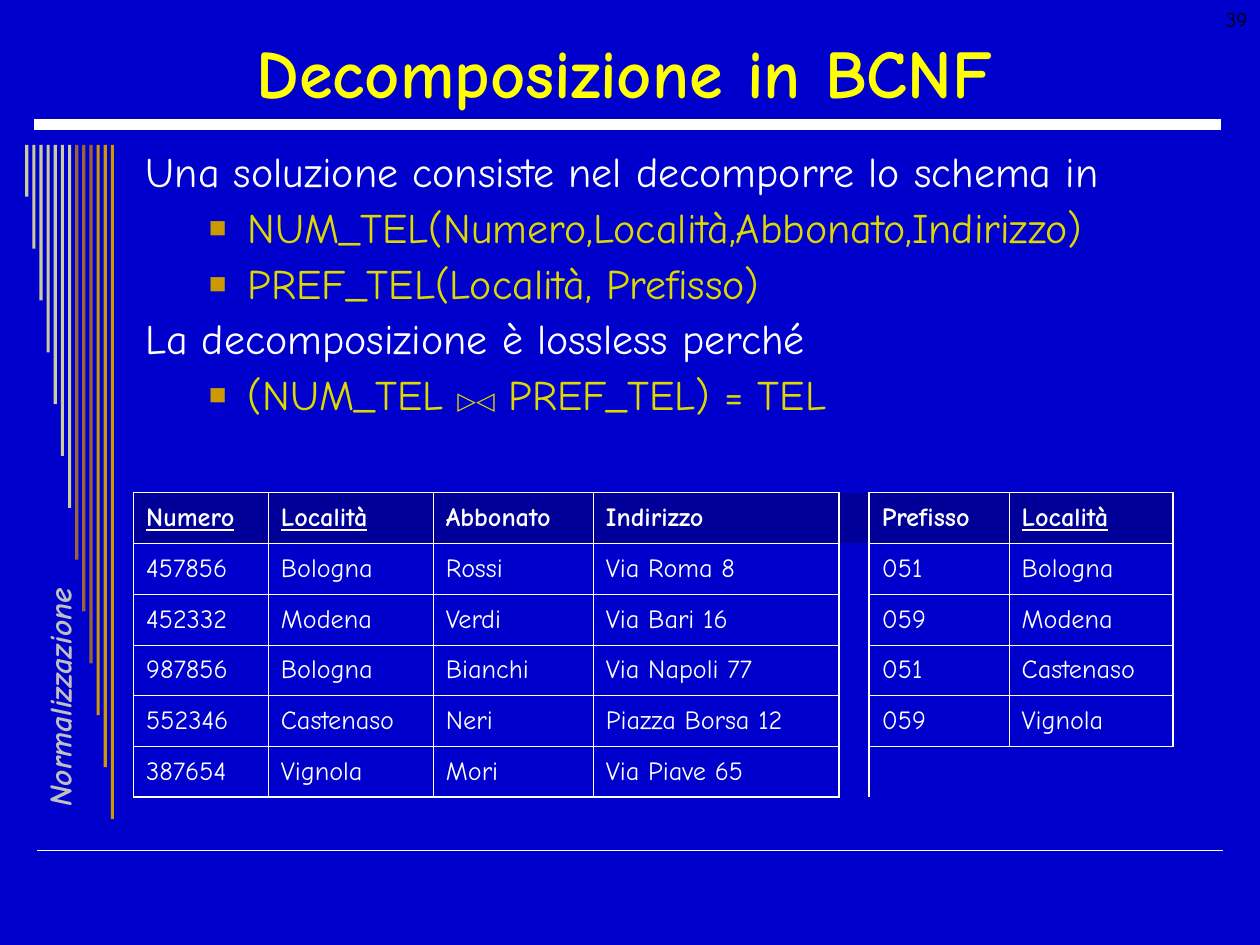
from lxml.etree import SubElement
from pptx import Presentation
from pptx.dml.color import RGBColor
from pptx.enum.shapes import MSO_CONNECTOR, MSO_SHAPE
from pptx.enum.text import MSO_ANCHOR, PP_ALIGN
from pptx.oxml.ns import qn
from pptx.util import Inches, Pt

COLORS = {
    "background": "0000CC", "header": "000099", "white": "FFFFFF",
    "title": "FFFF00", "detail": "DDD800", "bullet": "CC9900",
    "sand": "CCCC99", "brown": "996633", "gold": "CC9900",
    "silver": "C0C0C0", "black": "000000",
}
NO_TABLE_STYLE = "{2D5ABB26-0587-4C30-8999-92F81FD0307C}"
THIN, THICK = 0.45, 1.08

# Two relations side by side, with an empty column between them
PHONES = [
    ["Numero", "Località", "Abbonato", "Indirizzo"],
    ["457856", "Bologna", "Rossi", "Via Roma 8"],
    ["452332", "Modena", "Verdi", "Via Bari 16"],
    ["987856", "Bologna", "Bianchi", "Via Napoli 77"],
    ["552346", "Castenaso", "Neri", "Piazza Borsa 12"],
    ["387654", "Vignola", "Mori", "Via Piave 65"],
]
PREFIXES = [
    ["Prefisso", "Località"],
    ["051", "Bologna"],
    ["059", "Modena"],
    ["051", "Castenaso"],
    ["059", "Vignola"],
]
RELATIONS = [(0, PHONES), (5, PREFIXES)]
KEYS = ("Numero", "Località")


def unit(count):
    """Length of grid units: the slide is 100 columns by 75 rows."""
    return Inches(count / 10)


def relation_at(row, column):
    """First column and rows of the relation that covers a cell, if any."""
    for first, rows in RELATIONS:
        if 0 <= row < len(rows) and first <= column < first + len(rows[0]):
            return first, rows
    return None


def border_width(cell, neighbour):
    inside, outside = relation_at(*cell), relation_at(*neighbour)
    if inside is None and outside is None:
        return None
    below_header = {cell[0], neighbour[0]} == {0, 1}
    return THIN if inside == outside and not below_header else THICK


class SlideBuilder:
    font_name = "Comic Neue"

    def __init__(self, page):
        self.page = page
        fill = page.background.fill
        fill.solid()
        fill.fore_color.rgb = self.color("background")

    def color(self, name):
        return RGBColor.from_string(COLORS[name])

    def style(self, font, size, color, bold=False, italic=False, underline=False):
        font.name, font.size = self.font_name, Pt(size)
        font.color.rgb = self.color(color)
        font.bold, font.italic, font.underline = bold, italic, underline

    def rule(self, left, right, row, width):
        line = self.page.shapes.add_connector(
            MSO_CONNECTOR.STRAIGHT, unit(left), unit(row), unit(right), unit(row))
        line.line.color.rgb = self.color("white")
        line.line.width = Pt(width)
        SubElement(line._element.spPr, qn("a:effectLst"))

    def stripe(self, left, top, width, height, color):
        bar = self.page.shapes.add_shape(
            MSO_SHAPE.RECTANGLE, unit(left), unit(top), unit(width), unit(height))
        bar.shadow.inherit = False
        bar.fill.solid()
        bar.fill.fore_color.rgb = self.color(color)
        bar.line.fill.background()

    def text_box(self, left, top, width, height, wrap=True):
        box = self.page.shapes.add_textbox(
            unit(left), unit(top), unit(width), unit(height))
        box.text_frame.word_wrap = wrap
        return box

    def label(self, place, text, size, color, align=PP_ALIGN.LEFT,
              anchor=MSO_ANCHOR.TOP, wrap=True, rotation=0, **emphasis):
        box = self.text_box(*place, wrap=wrap)
        box.rotation = rotation
        box.text_frame.vertical_anchor = anchor
        para = box.text_frame.paragraphs[0]
        para.text, para.alignment = text, align
        self.style(para.font, size, color, **emphasis)

    def bullet(self, para):
        properties = para._p.get_or_add_pPr()
        color = SubElement(properties, qn("a:buClr"))
        SubElement(color, qn("a:srgbClr"), val=COLORS["bullet"])
        SubElement(properties, qn("a:buSzPct"), val="70000")
        SubElement(properties, qn("a:buFont"), typeface="Arial")
        SubElement(properties, qn("a:buChar"), char="■")

    def outline(self, place, items):
        """Items are (level, texts); the join symbol gets its own font."""
        frame = self.text_box(*place).text_frame
        for index, (level, texts) in enumerate(items):
            para = frame.add_paragraph() if index else frame.paragraphs[0]
            para.level, para.line_spacing = level, 0.9
            para.space_before = Pt(6 if index else 0)
            margin, indent = (0.81, -0.31) if level else (0.38, -0.38)
            properties = para._p.get_or_add_pPr()
            properties.set("marL", str(Inches(margin)))
            properties.set("indent", str(Inches(indent)))
            if level:
                self.bullet(para)
            self.style(para.font, 24, "detail" if level else "white")
            for text in texts:
                span = para.add_run()
                span.text = text
                if text == "▷◁":
                    span.font.name, span.font.bold = "Arial", True
                    span.font._element.set("baseline", "4000")

    def borders(self, cell, row, column):
        neighbours = {
            "a:lnL": (row, column - 1), "a:lnR": (row, column + 1),
            "a:lnT": (row - 1, column), "a:lnB": (row + 1, column),
        }
        properties = cell._tc.get_or_add_tcPr()
        for tag, neighbour in neighbours.items():
            width = border_width((row, column), neighbour)
            if width:
                line = SubElement(properties, qn(tag), w=str(Pt(width)))
                fill = SubElement(line, qn("a:solidFill"))
                SubElement(fill, qn("a:srgbClr"), val=COLORS["white"])

    def relations(self, left, top, widths, row_height):
        table = self.page.shapes.add_table(
            len(PHONES), len(widths), unit(left), unit(top),
            unit(sum(widths)), unit(row_height * len(PHONES))).table
        table.first_row = table.horz_banding = False
        table._tbl.tblPr.find(qn("a:tableStyleId")).text = NO_TABLE_STYLE
        for column, width in zip(table.columns, widths):
            column.width = unit(width)
        for row in range(len(PHONES)):
            table.rows[row].height = unit(row_height)
            for column in range(len(widths)):
                self.cell(table.cell(row, column), row, column)

    def cell(self, cell, row, column):
        self.borders(cell, row, column)
        header = row == 0
        if header:
            cell.fill.solid()
            cell.fill.fore_color.rgb = self.color("header")
        else:
            cell.fill.background()
        cell.vertical_anchor = MSO_ANCHOR.MIDDLE
        para = cell.text_frame.paragraphs[0]
        relation = relation_at(row, column)
        if relation:
            first, rows = relation
            para.text = rows[row][column - first]
        self.style(para.font, 15, "white", bold=header,
                   underline=header and para.text in KEYS)


def main():
    deck = Presentation()
    deck.slide_width, deck.slide_height = unit(100), unit(75)
    slide = SlideBuilder(deck.slides.add_slide(deck.slide_layouts[6]))

    # Rules above and below the content
    slide.rule(2.9, 97.1, 67.5, 1)
    slide.rule(2.7, 96.9, 9.9, 6)

    # Stripes growing in equal steps down the left side
    stripes = ["sand"] * 7 + ["brown"] * 3 + ["gold"] * 3
    for index, color in enumerate(stripes):
        slide.stripe(2 + 6.8 * index / 12, 11.5, 0.25,
                     53.5 * (index + 1) / len(stripes), color)

    # Chapter name, title and page number
    slide.label((-7.5, 52.4, 22.8, 2.4), "Normalizzazione", 18, "silver",
                wrap=False, rotation=270, bold=True, italic=True)
    slide.label((3.5, 2.1, 92.1, 7.1), "Decomposizione in BCNF", 39, "title",
                align=PP_ALIGN.CENTER, anchor=MSO_ANCHOR.MIDDLE, bold=True)
    slide.label((76.7, 0, 23.3, 5), "39", 12, "black", align=PP_ALIGN.RIGHT)

    # Explanation
    slide.outline((10.6, 11.5, 85.2, 23.8), [
        (0, ["Una soluzione consiste nel decomporre lo schema in"]),
        (1, ["NUM_TEL(Numero,Località,Abbonato,Indirizzo)"]),
        (1, ["PREF_TEL(Località, Prefisso)"]),
        (0, ["La decomposizione è lossless perché"]),
        (1, ["(NUM_TEL ", "▷◁", " PREF_TEL) = TEL"]),
    ])

    # Decomposed relations
    slide.relations(10.6, 39.1, [10.7, 13.1, 12.7, 19.5, 2.4, 11.1, 13], 4.03)

    deck.save("out.pptx")


if __name__ == "__main__":
    main()
